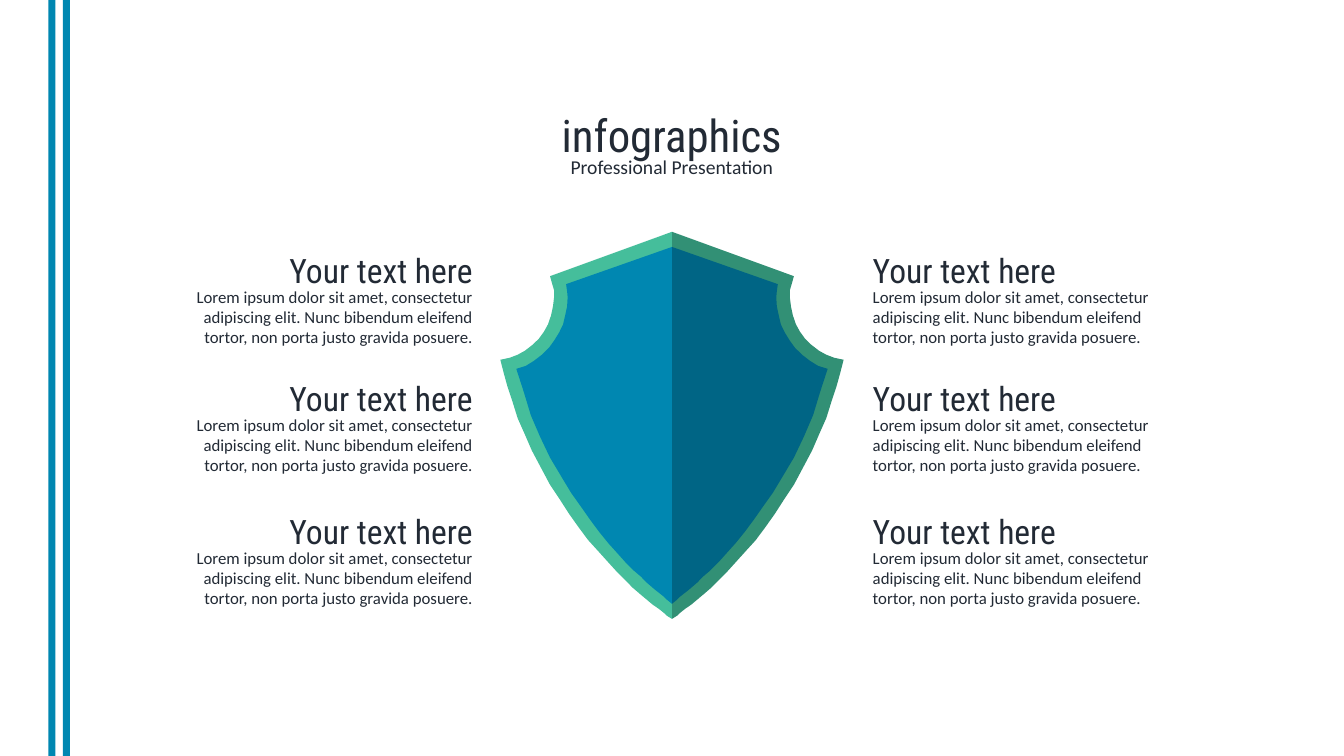
import pptx
import pptx.util
import pptx.dml.color
import pptx.enum.shapes
import pptx.enum.text
from dataclasses import dataclass

Pt = pptx.util.Pt
Align = pptx.enum.text.PP_ALIGN


@dataclass(frozen=True)
class Theme:
    """Colours, fonts and type sizes of the slide."""
    ink: str = "222A35"
    blue: str = "0087B1"
    dark_blue: str = "006585"
    green: str = "45BE9B"
    dark_green: str = "329075"
    heading_font: str = "Roboto Condensed"
    body_font: str = "Calibri"
    title_size: int = 32
    heading_size: int = 24
    subtitle_size: int = 14
    body_size: int = 12


THEME = Theme()
WIDTH, HEIGHT = 960, 540
CENTER = WIDTH / 2
HEADING = "Your text here"
BODY = ("Lorem ipsum dolor sit amet, consectetur adipiscing elit. "
        "Nunc bibendum eleifend tortor, non porta justo gravida posuere.")

RIM = [
    (0, 165.6), (87.1, 197.3), (85.7, 202.3), (84.2, 207.4), (84.2, 212.4),
    (85, 218.9), (86.4, 225.4), (88.6, 231.8), (91.4, 236.9), (95, 241.9),
    (99.4, 246.2), (105.1, 250.6), (110.2, 253.4), (115.9, 255.6), (122.6, 257),
    (120.2, 266.4), (117.4, 276.5), (113.8, 287.3), (110.2, 298.8),
    (105.1, 310.3), (100.1, 321.8), (93.6, 334.1), (87.1, 346.3), (79.9, 357.1),
    (73.4, 367.2), (66.2, 377.3), (59.8, 385.9), (52.6, 393.8), (46.1, 401),
    (39.6, 408.2), (33.8, 414), (28.1, 419.8), (22.3, 424.8), (18, 428.4),
    (13.7, 432), (9.4, 434.9), (5.8, 437.8), (3.6, 439.9), (0, 442.1),
]
FACE = [
    (0, 176.4), (75.6, 203), (74.9, 208.1), (74.5, 212.4), (74.9, 218.9),
    (76.3, 225.4), (77.8, 231.8), (80.6, 237.6), (84.2, 243.4), (87.8, 248.4),
    (92.9, 253.4), (98.6, 257.8), (104.4, 261.4), (111.2, 263.5),
    (105.8, 280.1), (100.8, 296.6), (94.3, 311.8), (87.1, 326.9),
    (78.5, 341.3), (72, 352.1), (64.8, 362.2), (58.3, 371.5), (51.8, 380.2),
    (45.4, 388.1), (38.9, 395.3), (33.1, 401.8), (27.4, 407.5), (22.3, 411.8),
    (18, 416.2), (12.2, 421.2), (5.8, 426.2), (3.6, 428.4), (0, 431.3),
]


def rgb(value):
    """Turn a hex string into a colour."""
    return pptx.dml.color.RGBColor.from_string(value)


def apply(target, values):
    """Set attributes from a dict of format values."""
    for name, value in values.items():
        setattr(target, name, value)


def paint(shape, color):
    """Give a shape a flat fill without line or shadow."""
    shape.shadow.inherit = False
    shape.fill.solid()
    shape.fill.fore_color.rgb = rgb(color)
    shape.line.fill.background()


def write(box, place, text, font, size, align):
    """Place a text shape and write one formatted paragraph in it."""
    apply(box, dict(zip(("left", "top", "width", "height"), map(Pt, place))))
    frame = box.text_frame
    apply(frame, {"word_wrap": True,
                  "auto_size": pptx.enum.text.MSO_AUTO_SIZE.NONE,
                  "vertical_anchor": pptx.enum.text.MSO_ANCHOR.TOP})
    para = frame.paragraphs[0]
    para.alignment = align
    span = para.add_run()
    span.text = text
    apply(span.font, {"name": font, "size": Pt(size)})
    span.font.color.rgb = rgb(THEME.ink)


def add_text(page, *content):
    """Add a text box with the given place, text and format."""
    write(page.shapes.add_textbox(0, 0, 0, 0), *content)


def add_bar(page, left):
    """Add a full-height side bar."""
    kind = pptx.enum.shapes.MSO_SHAPE.RECTANGLE
    paint(page.shapes.add_shape(kind, Pt(left), 0, Pt(5), Pt(HEIGHT)), THEME.blue)


def add_half(page, outline, side, color):
    """Add one half of the shield; side is 1 for right and -1 for left."""
    points = [(Pt(CENTER + side * offset), Pt(y)) for offset, y in outline]
    builder = page.shapes.build_freeform(*points[0])
    builder.add_line_segments(points[1:], close=True)
    paint(builder.convert_to_shape(), color)


def add_item(page, left, top, align):
    """Add a heading with its description below."""
    add_text(page, (left, top, 231, 36), HEADING,
             THEME.heading_font, THEME.heading_size, align)
    add_text(page, (left, top + 26.2, 231, 51), BODY,
             THEME.body_font, THEME.body_size, align)


def main():
    """Build and save the slide."""
    deck = pptx.Presentation()
    apply(deck, {"slide_width": Pt(WIDTH), "slide_height": Pt(HEIGHT)})
    page = deck.slides.add_slide(deck.slide_layouts[5])
    for left in (34.6, 45):
        add_bar(page, left)
    write(page.shapes.title, (63.4, 73.4, 833, 46), "infographics",
          THEME.heading_font, THEME.title_size, Align.CENTER)
    add_text(page, (63.4, 107.3, 833, 24.5), "Professional Presentation",
             THEME.body_font, THEME.subtitle_size, Align.CENTER)
    for outline, light, dark in ((RIM, THEME.green, THEME.dark_green),
                                 (FACE, THEME.blue, THEME.dark_blue)):
        add_half(page, outline, 1, dark)
        add_half(page, outline, -1, light)
    for left, align in ((113.8, Align.RIGHT), (616.3, Align.LEFT)):
        for top in (175, 266.5, 361.4):
            add_item(page, left, top, align)
    deck.save("out.pptx")


if __name__ == "__main__":
    main()
